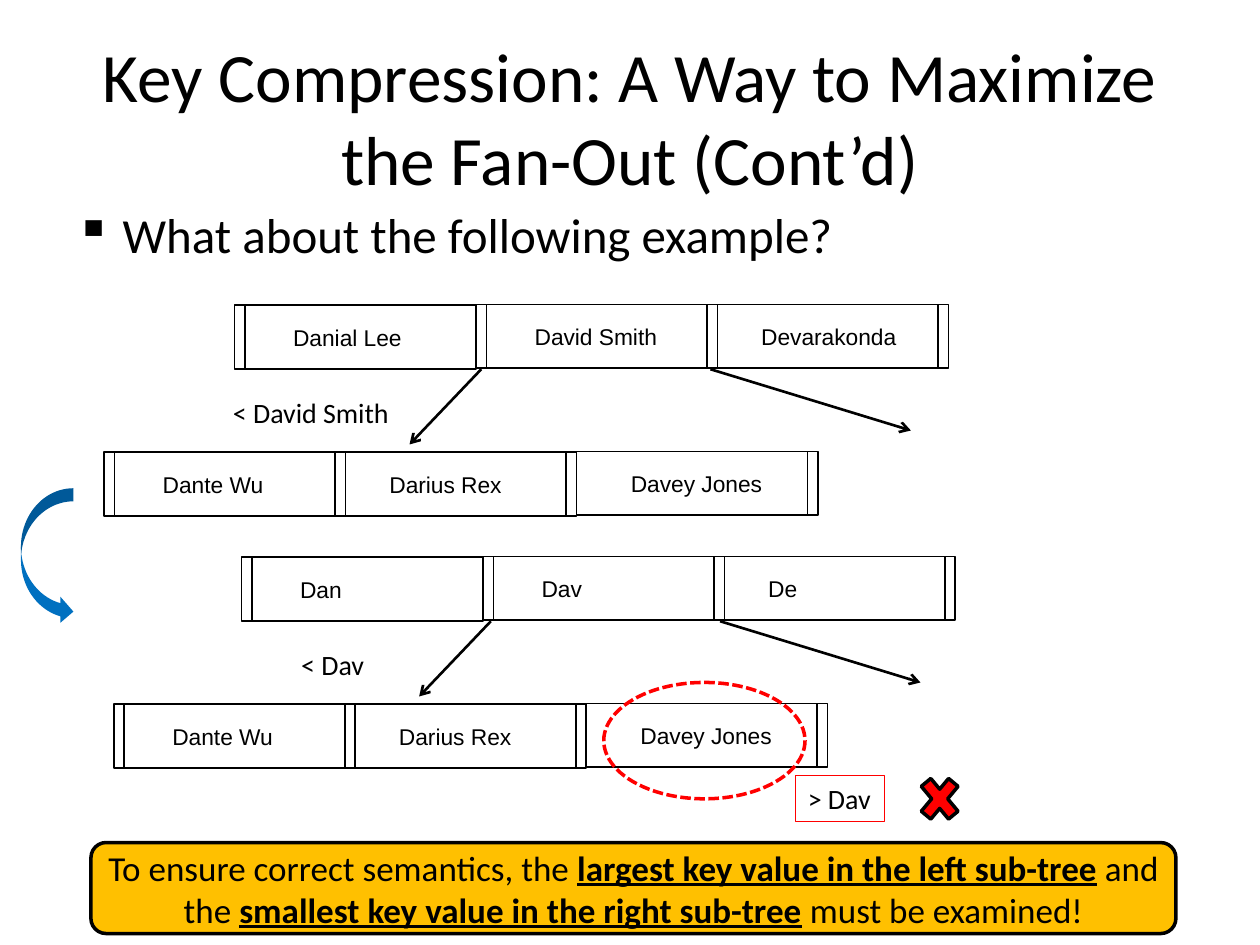
from lxml import etree
from pptx import Presentation
from pptx.dml.color import RGBColor
from pptx.enum.dml import MSO_LINE
from pptx.enum.shapes import MSO_CONNECTOR, MSO_SHAPE
from pptx.enum.text import MSO_ANCHOR, MSO_AUTO_SIZE, PP_ALIGN
from pptx.oxml.ns import qn
from pptx.util import Pt

STRAIGHT = MSO_CONNECTOR.STRAIGHT
RECTANGLE, ELLIPSE = MSO_SHAPE.RECTANGLE, MSO_SHAPE.OVAL
ROUNDED, CROSS = MSO_SHAPE.ROUNDED_RECTANGLE, MSO_SHAPE.MATH_MULTIPLY
CURVED_ARROW = MSO_SHAPE.CURVED_RIGHT_ARROW
LEFT, CENTER = PP_ALIGN.LEFT, PP_ALIGN.CENTER
MIDDLE, TOP = MSO_ANCHOR.MIDDLE, MSO_ANCHOR.TOP

BLACK, RED, AMBER, BLUE = "000000", "FF0000", "FFC000", "0070C0"
CELL_WIDTH, CELL_HEIGHT, POINTER_WIDTH = 138, 36.5, 6
TEXT_INDENT = {"L": 33.5, "R": 31}
STAGGER = 0.5

TITLE = "Key Compression: A Way to Maximize the Fan-Out (Cont’d)"
QUESTION = "What about the following example?"
NODES = [
    (134, 174, "LLR", ["Danial Lee", "David Smith", "Devarakonda"]),
    (59.5, 258, "LRR", ["Dante Wu", "Darius Rex", "Davey Jones"]),
    (138, 318, "LLR", ["Dan", "Dav", "De"]),
    (65, 402, "LRR", ["Dante Wu", "Darius Rex", "Davey Jones"]),
]
CHILD_POINTERS = [((406, 211), (520.5, 246)), ((275, 211), (234, 254))]
TREE_SHIFTS = [(0, 0), (5.5, 144)]
CONDITIONS = [
    ("< David Smith", (126, 222.5, 104.5, 26.5), None),
    ("< Dav", (165, 366.5, 51, 26.5), None),
    ("> Dav", (454.5, 443, 51, 26.5), RED),
]
CONCLUSION = [
    ("To ensure correct semantics, the ", False),
    ("largest key value in the left sub-tree", True),
    (" and the ", False),
    ("smallest key value in the right sub-tree", True),
    (" must be examined!", False),
]


def rgb(value):
    return RGBColor.from_string(value)


def format_run(run, size, font="Calibri", strong=False):
    run.font.name, run.font.size = font, Pt(size)
    run.font.color.rgb = rgb(BLACK)
    run.font.bold = run.font.underline = strong


def write(frame, words, size, font="Calibri", align=LEFT, anchor=TOP, wrap=True):
    frame.text = words
    frame.word_wrap, frame.vertical_anchor = wrap, anchor
    paragraph = frame.paragraphs[0]
    paragraph.alignment = align
    format_run(paragraph.runs[0], size, font)
    return paragraph


def add_outline(slide, preset, box, fill=None, line=None, width=1):
    shape = slide.shapes.add_shape(preset, *map(Pt, box))
    shape.shadow.inherit = False
    if fill:
        shape.fill.solid()
        shape.fill.fore_color.rgb = rgb(fill)
    else:
        shape.fill.background()
    if line:
        shape.line.color.rgb = rgb(line)
        shape.line.width = Pt(width)
    else:
        shape.line.fill.background()
    return shape


def add_line(slide, start, end, width, arrow=False):
    line = slide.shapes.add_connector(STRAIGHT, *map(Pt, start + end))
    line.line.color.rgb = rgb(BLACK)
    line.line.width = Pt(width)
    if arrow:
        etree.SubElement(line.line._get_or_add_ln(), qn("a:tailEnd"), type="arrow")
    etree.SubElement(line._element.spPr, qn("a:effectLst"))


def add_node(slide, left, top, pointer_sides, keys):
    seam = 1 if pointer_sides[0] == pointer_sides[1] else 2
    for index, (side, key) in enumerate(zip(pointer_sides, keys)):
        if index:
            overlap = 0 if index == seam else POINTER_WIDTH
            left += CELL_WIDTH - overlap
        cell_top = top + (STAGGER if index < seam else 0)
        cell = add_outline(slide, RECTANGLE, (left, cell_top, CELL_WIDTH, CELL_HEIGHT), line=BLACK)
        write(cell.text_frame, key, 13, "Arial", anchor=MIDDLE)
        cell.text_frame.margin_left = Pt(TEXT_INDENT[side])
        divider = left + (POINTER_WIDTH if side == "L" else CELL_WIDTH - POINTER_WIDTH)
        add_line(slide, (divider, cell_top), (divider, cell_top + CELL_HEIGHT), 1)


def add_question(slide):
    question = slide.shapes.add_textbox(Pt(36), Pt(113.5), Pt(672), Pt(42))
    properties = write(question.text_frame, QUESTION, 28)._p.get_or_add_pPr()
    properties.set("marL", str(Pt(27)))
    properties.set("indent", str(Pt(-27)))
    etree.SubElement(properties, qn("a:buChar"), char="▪")


def add_conclusion(slide):
    conclusion = add_outline(slide, ROUNDED, (52, 481.5, 620, 52), AMBER, BLACK, 2)
    frame = conclusion.text_frame
    frame.word_wrap, frame.vertical_anchor = True, MIDDLE
    paragraph = frame.paragraphs[0]
    paragraph.alignment = CENTER
    for words, strong in CONCLUSION:
        run = paragraph.add_run()
        run.text = words
        format_run(run, 20, strong=strong)


def main():
    deck = Presentation()
    deck.slide_width, deck.slide_height = Pt(720), Pt(540)
    slide = deck.slides.add_slide(deck.slide_layouts[5])

    title = slide.shapes.title
    title.left, title.top, title.width, title.height = map(Pt, (36, 21.6, 648, 90))
    write(title.text_frame, TITLE, 39.6, align=CENTER, anchor=MIDDLE)
    title.text_frame.auto_size = MSO_AUTO_SIZE.NONE
    add_question(slide)

    for node in NODES:
        add_node(slide, *node)
    for dx, dy in TREE_SHIFTS:
        for start, end in CHILD_POINTERS:
            add_line(slide, (start[0] + dx, start[1] + dy), (end[0] + dx, end[1] + dy), 1.5, True)

    highlight = add_outline(slide, ELLIPSE, (345, 390, 115, 66.5), line=RED, width=2)
    highlight.line.dash_style = MSO_LINE.SQUARE_DOT
    for words, box, border in CONDITIONS:
        if border:
            condition = add_outline(slide, RECTANGLE, box, line=border, width=0.75)
        else:
            condition = slide.shapes.add_textbox(*map(Pt, box))
        write(condition.text_frame, words, 16, wrap=False)

    add_outline(slide, CROSS, (522, 438.5, 30, 36), RED, BLACK, 2)
    add_outline(slide, CURVED_ARROW, (12, 279, 30, 78), BLUE)
    add_conclusion(slide)
    deck.save("out.pptx")


if __name__ == "__main__":
    main()
